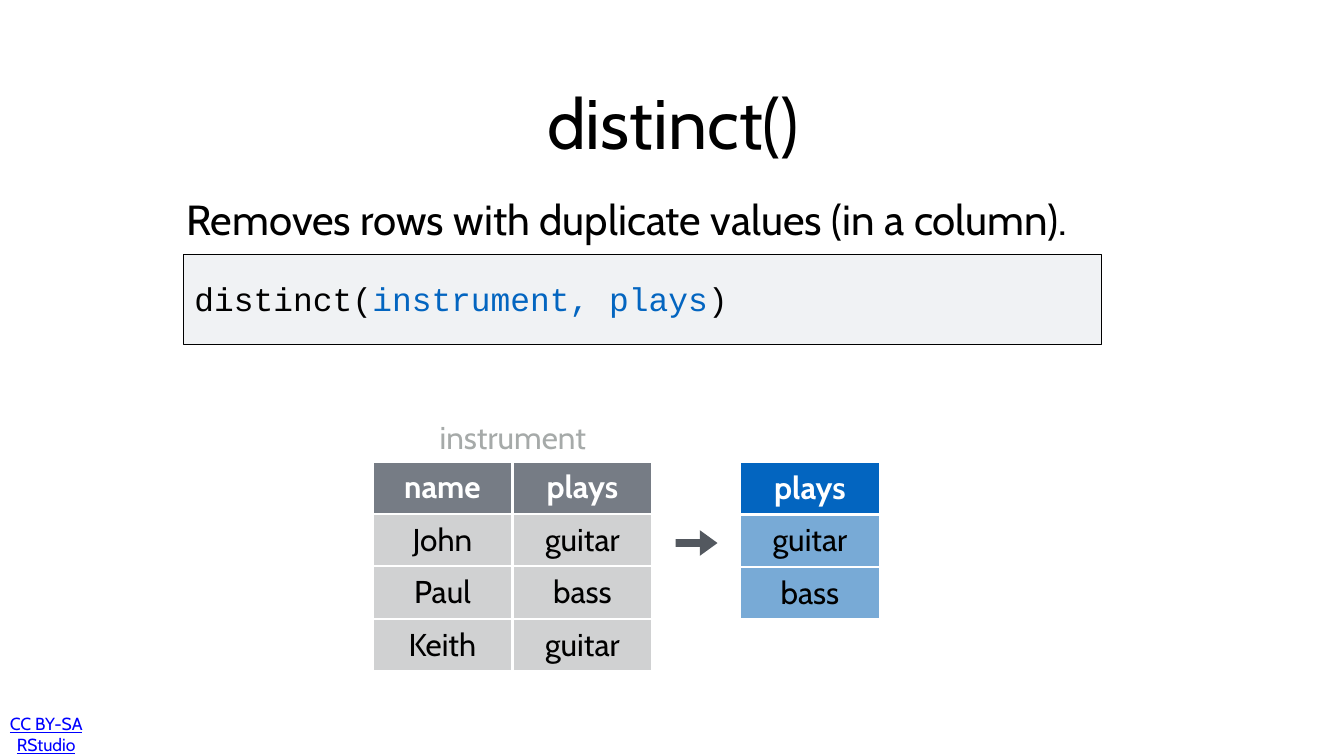
import pptx
import pptx.util
import pptx.dml.color
import pptx.enum.text
import pptx.enum.shapes
from pptx.oxml import parse_xml
from pptx.oxml.ns import nsdecls

Pt = pptx.util.Pt
ALIGN = pptx.enum.text.PP_ALIGN
ANCHOR = pptx.enum.text.MSO_ANCHOR
SHAPE = pptx.enum.shapes.MSO_SHAPE

COLORS = {
    "black": "000000", "white": "FFFFFF", "gray": "A6AAA9", "link": "0000FF",
    "blue": "0365C0", "pale": "78AAD6", "slate": "767C85", "silver": "D0D1D2",
    "panel": "F0F2F4", "arrow": "53585F",
}

TITLE = "distinct()"
INTRO = "Removes rows with duplicate values (in a column)."
CODE = [("distinct(", "black"), ("instrument, plays", "blue"), (")", "black")]
LABEL = "instrument"
LICENSE = "CC BY-SA RStudio"

# left, top, header fill, body fill, rows
TABLES = [
    (532, 659, "slate", "silver",
     [("name", "plays"), ("John", "guitar"), ("Paul", "bass"), ("Keith", "guitar")]),
    (1057, 660, "blue", "pale", [("plays",), ("guitar",), ("bass",)]),
]
CELL_W, CELL_H = 200, 75
INSET = 4.3


def color(name):
    return pptx.dml.color.RGBColor.from_string(COLORS[name])


def style(run, size, tint, face="Cabin", bold=False):
    font = run.font
    font.size, font.name, font.bold = Pt(size), face, bold
    font.color.rgb = color(tint)


def pad(item, inset):
    """Set equal margins on a text frame or a table cell."""
    item.margin_left = item.margin_right = Pt(inset)
    item.margin_top = item.margin_bottom = Pt(inset)


def write(box, parts, size, align=ALIGN.CENTER, anchor=ANCHOR.MIDDLE,
          inset=INSET, face="Cabin"):
    """Fill a box with one paragraph of (text, color) parts."""
    frame = box.text_frame
    frame.word_wrap = True
    frame.auto_size = pptx.enum.text.MSO_AUTO_SIZE.NONE
    frame.vertical_anchor = anchor
    pad(frame, inset)
    para = frame.paragraphs[0]
    para.alignment = align
    for text, tint in parts:
        run = para.add_run()
        run.text = text
        style(run, size, tint, face)
    return para


def add_text(slide, place, parts, size, **options):
    box = slide.shapes.add_textbox(*map(Pt, place))
    return write(box, parts, size, **options)


def add_block(slide, kind, place, fill):
    block = slide.shapes.add_shape(kind, *map(Pt, place))
    block.shadow.inherit = False
    block.fill.solid()
    block.fill.fore_color.rgb = color(fill)
    block.line.fill.background()
    return block


def add_edges(cell, tint, width):
    props = cell._tc.get_or_add_tcPr()
    for spot, side in enumerate(("lnL", "lnR", "lnT", "lnB")):
        props.insert(spot, parse_xml(
            f'<a:{side} {nsdecls("a")} w="{Pt(width)}"><a:solidFill>'
            f'<a:srgbClr val="{COLORS[tint]}"/></a:solidFill></a:{side}>'))


def add_grid(slide, left, top, head, body, rows):
    count = len(rows[0])
    size = (left, top, CELL_W * count, CELL_H * len(rows))
    table = slide.shapes.add_table(len(rows), count, *map(Pt, size)).table
    table.horz_banding = False
    for r, row in enumerate(rows):
        for c, text in enumerate(row):
            cell = table.cell(r, c)
            cell.fill.solid()
            cell.fill.fore_color.rgb = color(body if r else head)
            cell.vertical_anchor = ANCHOR.MIDDLE
            pad(cell, INSET)
            para = cell.text_frame.paragraphs[0]
            para.text = text
            para.alignment = ALIGN.CENTER
            style(para.runs[0], 45, "black" if r else "white", bold=not r)
            add_edges(cell, "white", 4)


def main():
    deck = pptx.Presentation()
    deck.slide_width, deck.slide_height = Pt(1920), Pt(1080)
    slide = deck.slides.add_slide(deck.slide_layouts[5])

    title = slide.shapes.title
    title.left, title.top, title.width, title.height = map(Pt, (317, 79, 1289, 189))
    write(title, [(TITLE, "black")], 100)

    add_text(slide, (262, 256, 1312, 112), [(INTRO, "black")], 60, align=ALIGN.LEFT)

    panel = add_block(slide, SHAPE.RECTANGLE, (262, 364, 1312, 127.5), "panel")
    panel.line.color.rgb = color("black")
    panel.line.width = Pt(1)
    add_text(slide, (273.5, 393, 1241, 112), CODE, 47, align=ALIGN.LEFT,
             anchor=ANCHOR.TOP, face="Courier New")

    for table in TABLES:
        add_grid(slide, *table)
    add_text(slide, (610, 588, 245, 72), [(LABEL, "gray")], 45)

    arrow = add_block(slide, SHAPE.RIGHT_ARROW, (965, 757.5, 60, 36.5), "arrow")
    arrow.adjustments[0], arrow.adjustments[1] = 0.3, 0.69

    notice = add_text(slide, (8.5, 1027, 115, 43), [(LICENSE, "link")], 25, inset=3)
    notice.runs[0].font.underline = True

    deck.save("out.pptx")


if __name__ == "__main__":
    main()
